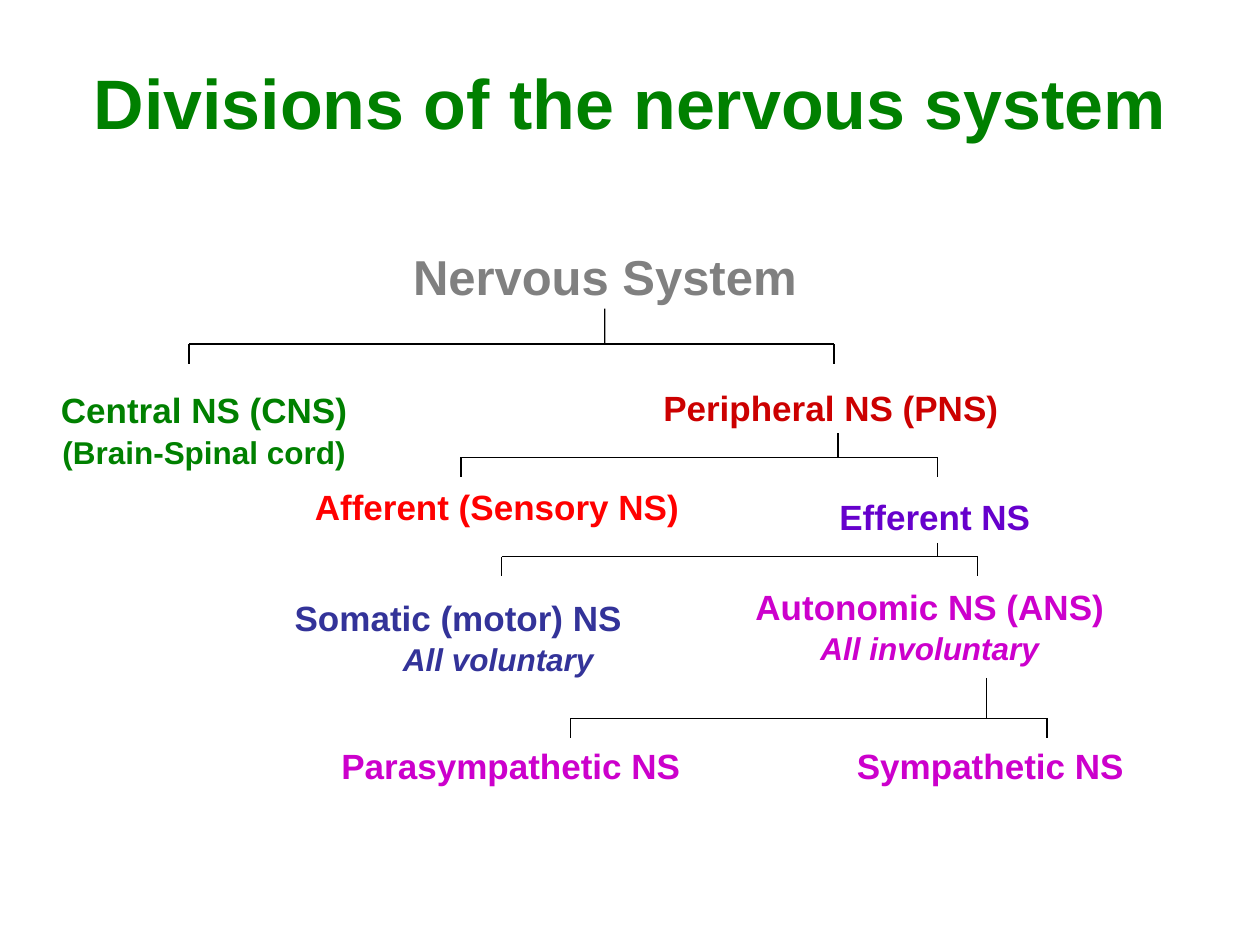
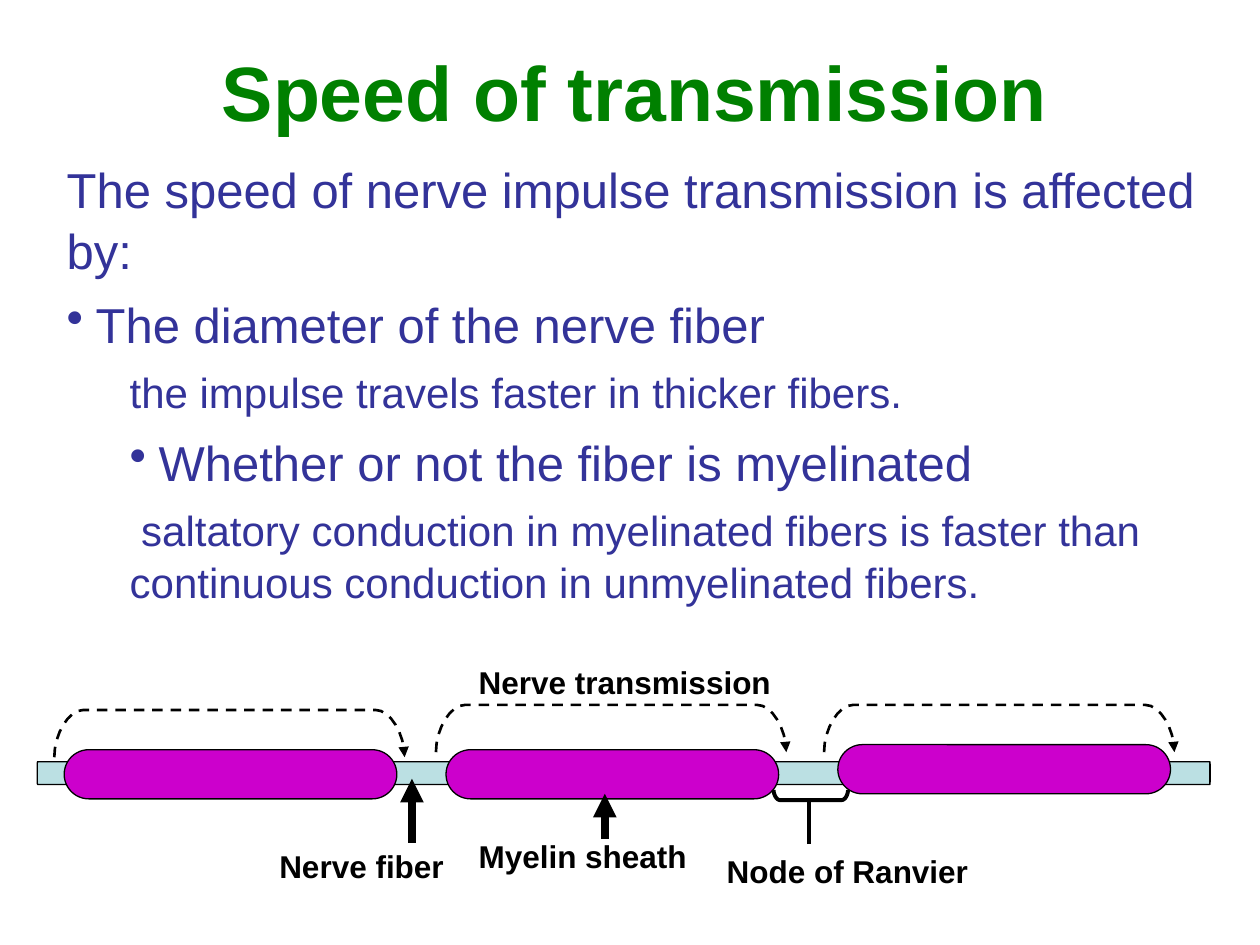
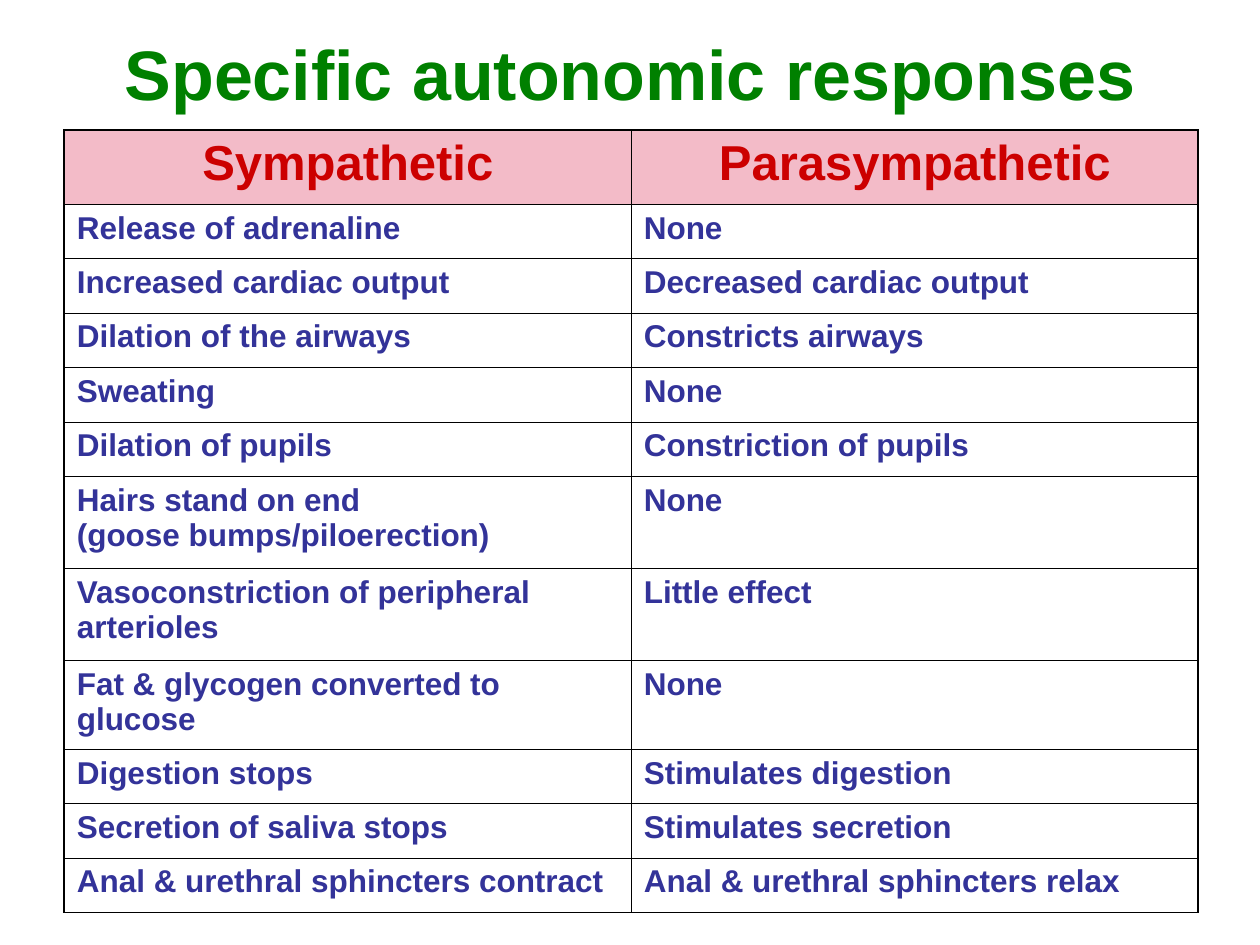
from dataclasses import dataclass

from lxml.etree import SubElement as Sub
from pptx import Presentation
from pptx.dml.color import RGBColor as RGB
from pptx.enum.dml import MSO_LINE as Dash
from pptx.enum.shapes import MSO_CONNECTOR as Conn, MSO_SHAPE as Kind
from pptx.enum.text import MSO_ANCHOR as Anchor, PP_ALIGN as Align
from pptx.oxml.ns import qn
from pptx.util import Pt

BLACK = RGB(0, 0, 0)
WHITE = RGB(255, 255, 255)
GREEN = RGB(0, 128, 0)
GRAY = RGB(128, 128, 128)
RED = RGB(255, 0, 0)
CRIMSON = RGB(204, 0, 0)
NAVY = RGB(51, 51, 153)
VIOLET = RGB(102, 0, 204)
PURPLE = RGB(204, 0, 204)
PINK = RGB(243, 187, 200)
AQUA = RGB(187, 224, 227)

FONT = "Arial"
LEAD = 1.05
LEFT, MID, RIGHT = Align.LEFT, Align.CENTER, Align.RIGHT


@dataclass
class Line:
    """One paragraph of text, lengths in points."""
    text: str
    size: float
    align: Align = LEFT
    slant: bool = False
    gap: float = 0
    left: float = 0
    first: float = 0
    dot: bool = False


class Deck:
    def __init__(self):
        self.prs = Presentation()
        self.prs.slide_width, self.prs.slide_height = Pt(720), Pt(540)
        self.shapes = None

    def page(self, title, box, size):
        """Start a slide and give it its title."""
        blank = self.prs.slide_layouts[6]
        self.shapes = self.prs.slides.add_slide(blank).shapes
        head = self.text(box, [Line(title, size, MID)], GREEN)
        head.text_frame.vertical_anchor = Anchor.MIDDLE
        head.text_frame.margin_top = Pt(7.2)

    def style(self, para, size, color, bold=True, slant=False):
        for run in para.runs:
            font = run.font
            font.name, font.size = FONT, Pt(size)
            font.bold, font.italic = bold, slant
            font.color.rgb = color

    def text(self, box, lines, color, bold=True, fill=None):
        """Text box, or a filled rectangle when a fill is given."""
        if fill is None:
            shape = self.shapes.add_textbox(*map(Pt, box))
        else:
            shape = self.shape(Kind.RECTANGLE, box, fill, 0)
        frame = shape.text_frame
        frame.word_wrap = True
        frame.vertical_anchor = Anchor.TOP
        frame.text = "\n".join(line.text for line in lines)
        for para, line in zip(frame.paragraphs, lines):
            para.alignment = line.align
            para.line_spacing = LEAD
            para.space_before = Pt(line.gap)
            props = para._p.get_or_add_pPr()
            props.set("marL", str(Pt(line.left)))
            props.set("indent", str(Pt(line.first)))
            if line.dot:
                Sub(props, qn("a:buChar"), char="•")
            self.style(para, line.size, color, bold, line.slant)
        return shape

    def shape(self, kind, box, fill, width=0.75, adj=None):
        shape = self.shapes.add_shape(kind, *map(Pt, box))
        shape.shadow.inherit = False
        shape.fill.solid()
        shape.fill.fore_color.rgb = fill
        if width:
            self.ink(shape, width)
        else:
            shape.line.fill.background()
        if adj is not None:
            shape.adjustments[0] = adj
        return shape

    def ink(self, shape, width, dash=None, arrow=False):
        shape.line.color.rgb = BLACK
        shape.line.width = Pt(width)
        if dash:
            shape.line.dash_style = dash
        if arrow:
            Sub(shape.element.spPr.find(qn("a:ln")), qn("a:tailEnd"),
                type="triangle")

    def line(self, x1, y1, x2, y2, width=0.75, arrow=False):
        line = self.shapes.add_connector(
            Conn.STRAIGHT, *map(Pt, (x1, y1, x2, y2)))
        self.ink(line, width, arrow=arrow)
        Sub(line.element.spPr, qn("a:effectLst"))
        return line

    def fork(self, stem, top, bar, left, right):
        """Stem, crossbar and two drops; returns the stem."""
        self.line(left, bar, right, bar)
        for x in (left, right):
            self.line(x, bar, x, bar + 11.2)
        return self.line(stem, top, stem, bar)

    def arch(self, x, y, wide, rise, bend, width, dash=None, arrow=False):
        """Open outline with two curved corners; a negative rise hangs."""
        steps = [i / 8 for i in range(9)]
        # Cubic curve whose control points sit halfway along each side
        curve = [(bend * (1.5 * t * t - 0.5 * t ** 3),
                  rise * (1.5 * t - 0.5 * t ** 3)) for t in steps]
        spots = [(x + dx, y - dy) for dx, dy in curve]
        spots += [(x + wide - dx, y - dy) for dx, dy in reversed(curve)]
        spots = [(Pt(a), Pt(b)) for a, b in spots]
        pen = self.shapes.build_freeform(*spots[0])
        pen.add_line_segments(spots[1:], close=False)
        shape = pen.convert_to_shape()
        shape.shadow.inherit = False
        shape.fill.background()
        self.ink(shape, width, dash, arrow)

    def edge(self, cell, side, width):
        line = Sub(cell._tc.get_or_add_tcPr(), qn("a:ln" + side),
                   w=str(Pt(width)))
        fill = Sub(line, qn("a:solidFill"))
        Sub(fill, qn("a:srgbClr"), val=str(BLACK))

    def table(self, x, y, wide, highs, rows):
        last, end = len(rows) - 1, len(rows[0]) - 1
        table = self.shapes.add_table(
            last + 1, end + 1, Pt(x), Pt(y),
            Pt(wide * (end + 1)), Pt(sum(highs))).table
        table.first_row = table.horz_banding = False
        for col in table.columns:
            col.width = Pt(wide)
        for r, (high, row) in enumerate(zip(highs, rows)):
            table.rows[r].height = Pt(high)
            for c, words in enumerate(row):
                cell = table.cell(r, c)
                rims = {"L": c == 0, "R": c == end, "T": r == 0, "B": r == last}
                for side, rim in rims.items():
                    self.edge(cell, side, 1.08 if rim else 0.45)
                para = cell.text_frame.paragraphs[0]
                para.text = words
                if r == 0:
                    cell.fill.solid()
                    cell.fill.fore_color.rgb = PINK
                    para.alignment = MID
                    self.style(para, 28, CRIMSON)
                else:
                    cell.fill.background()
                    self.style(para, 18, NAVY)


def tree(deck):
    deck.page("Divisions of the nervous system", (36, 21.6, 648, 67), 40)

    # Names with a white ground
    root = deck.text((212.4, 135.4, 266.4, 41),
                     [Line("Nervous System", 28, MID)], GRAY, fill=WHITE)
    for words, box, color in (
            ("Peripheral NS (PNS)", (368.6, 216, 212.4, 31.7), CRIMSON),
            ("Efferent NS", (453.6, 278.6, 161.3, 31.7), VIOLET)):
        deck.text(box, [Line(words, 20, MID)], color, fill=WHITE)

    # Plain names, some with a smaller second line
    one, two = 31.7, 53.3
    for box, color, lines in (
            ((17.3, 217.4, 198.7, two), GREEN,
             [Line("Central NS (CNS)", 20, MID),
              Line("(Brain-Spinal cord)", 18, MID)]),
            ((172.8, 272.9, 226.8, one), RED,
             [Line("Afferent (Sensory NS)", 20)]),
            ((161.3, 336.2, 247, two), NAVY,
             [Line("Somatic (motor) NS", 20),
              Line("All voluntary", 18, MID, True)]),
            ((382.3, 329.8, 298, two), PURPLE,
             [Line("Autonomic NS (ANS)", 20, MID),
              Line("All involuntary", 18, MID, True)]),
            ((172.8, 420.5, 238.3, one), PURPLE,
             [Line("Parasympathetic NS", 20, MID)]),
            ((470.9, 420.5, 190, one), PURPLE,
             [Line("Sympathetic NS", 20, MID)])):
        deck.text(box, lines, color)

    # Branches
    stem = deck.fork(345.6, 176.4, 196.6, 108, 476.6)
    stem.begin_connect(root, 2)
    deck.fork(478.8, 247.7, 261.4, 263.5, 535.7)
    deck.fork(535.7, 310.3, 318.2, 286.6, 558.7)
    deck.fork(563.8, 387.4, 410.4, 326.2, 598.3)


def speed(deck):
    deck.page("Speed of transmission", (56.9, 11.5, 612, 74.2), 44)
    hang = 16.6
    deck.text((31, 85.7, 663.1, 260.6), [
        Line("The speed of nerve impulse transmission is affected by:", 28),
        Line("The diameter of the nerve fiber", 28, gap=7,
             left=hang, first=-hang, dot=True),
        Line("the impulse travels faster in thicker fibers.", 24, gap=6,
             left=36),
        Line("Whether or not the fiber is myelinated", 28, gap=7,
             left=36 + hang, first=-hang, dot=True),
        Line("saltatory conduction in myelinated fibers is faster than "
             "continuous conduction in unmyelinated fibers.", 24, gap=6,
             left=36, first=6.6),
    ], NAVY, bold=False)

    # Fiber with its sheaths and the jumps over them
    fiber = deck.shape(Kind.CAN, (349.9, 106.6, 13, 670.3), AQUA, adj=0.022)
    fiber.rotation = 90
    for x, y in ((36.7, 428.4), (254.9, 428.4), (478.8, 425.5)):
        deck.shape(Kind.ROUNDED_RECTANGLE, (x, y, 190.1, 28.1), PURPLE,
                   adj=0.5)
    for x, y in ((31, 432.7), (249.1, 429.8), (470.9, 429.8)):
        deck.arch(x, y, 200.2, 27, 16.6, 1.5, Dash.DASH, True)

    # Labels and pointers
    for words, x, y, wide, align in (
            ("Nerve fiber", 124.6, 479.5, 136.1, RIGHT),
            ("Myelin sheath", 266.4, 473.8, 136.1, LEFT),
            ("Node of Ranvier", 408.2, 482.4, 172.8, LEFT),
            ("Nerve transmission", 266.4, 374.4, 247, LEFT)):
        deck.text((x, y, wide, 28.8), [Line(words, 18, align)], BLACK)
    deck.line(235.4, 481.7, 235.4, 445, 4.5, True)
    deck.line(345.6, 479.5, 345.6, 453.6, 4.5, True)
    deck.line(462.2, 482.4, 462.2, 457.2, 2.25)
    deck.arch(442.1, 451.4, 42.5, -5.8, 3.6, 2.25)


def responses(deck):
    deck.page("Specific autonomic responses", (36, 21.6, 648, 33.1), 40)
    highs = [42.5] + [31.1] * 5 + [52.6, 52.6, 50.8] + [31.1] * 3
    deck.table(36.7, 74.2, 324, highs, [
        ("Sympathetic", "Parasympathetic"),
        ("Release of adrenaline", "None"),
        ("Increased cardiac output", "Decreased cardiac output"),
        ("Dilation of the airways", "Constricts airways"),
        ("Sweating", "None"),
        ("Dilation of pupils", "Constriction of pupils"),
        ("Hairs stand on end\v(goose bumps/piloerection)", "None"),
        ("Vasoconstriction of peripheral arterioles", "Little effect"),
        ("Fat & glycogen converted to glucose", "None"),
        ("Digestion stops", "Stimulates digestion"),
        ("Secretion of saliva stops", "Stimulates secretion"),
        ("Anal & urethral sphincters contract",
         "Anal & urethral sphincters relax"),
    ])


def main():
    deck = Deck()
    tree(deck)
    speed(deck)
    responses(deck)
    deck.prs.save("out.pptx")


if __name__ == "__main__":
    main()
